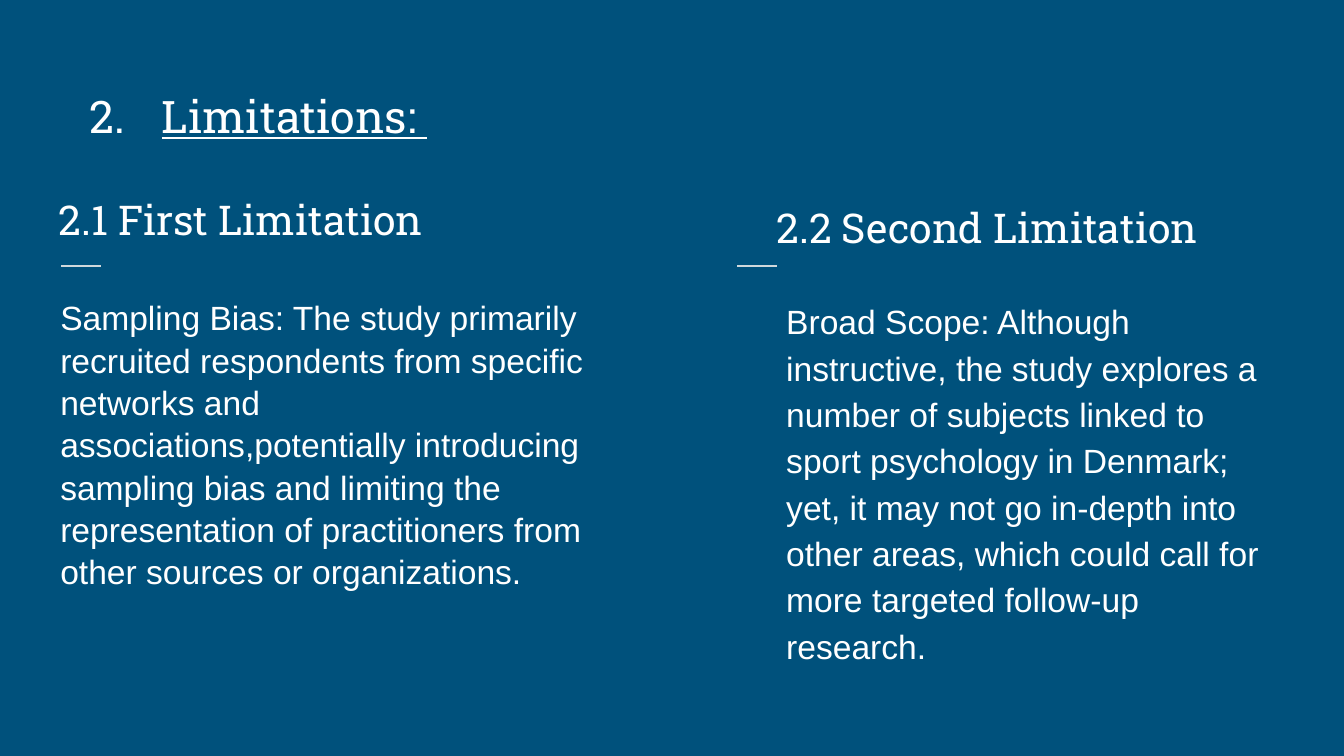
from lxml import etree
from pptx import Presentation
from pptx.dml.color import RGBColor
from pptx.enum.shapes import MSO_CONNECTOR
from pptx.enum.text import MSO_ANCHOR
from pptx.oxml.ns import qn
from pptx.util import Cm, Pt

STRAIGHT = MSO_CONNECTOR.STRAIGHT
TOP = MSO_ANCHOR.TOP
BOTTOM = MSO_ANCHOR.BOTTOM
HEADING_FONT = "Roboto Slab"
BODY_FONT = "Arial"
INSET = 0.25

LIMITATIONS = [
    {
        "heading": "2.1 First Limitation",
        "heading_box": (-0.41, 3.28, 11.35, 1.45),
        "rule_left": 1.16,
        "body": "Sampling Bias: The study primarily recruited respondents from "
                "specific networks and associations,potentially introducing "
                "sampling bias and limiting the representation of practitioners "
                "from other sources or organizations.",
        "body_box": (-1.02, 5.33, 12.52, 7.65),
        "body_spacing": 1.05,
    },
    {
        "heading": "2.2 Second Limitation",
        "heading_box": (13.16, 3.43, 10.69, 1.45),
        "rule_left": 13.93,
        "body": "Broad Scope: Although instructive, the study explores a number "
                "of subjects linked to sport psychology in Denmark; yet, it may "
                "not go in-depth into other areas, which could call for more "
                "targeted follow-up research.",
        "body_box": (12.7, 5.33, 11.63, 7.65),
        "body_spacing": 1.15,
    },
]


def color(value):
    return RGBColor.from_string(value)


def style(run, font, size):
    run.font.name = font
    run.font.size = Pt(size)
    run.font.color.rgb = color("FFFFFF")


def add_text(slide, box, text, font, size, left_inset, spacing=1.15,
             anchor=TOP, bottom_inset=INSET):
    frame = slide.shapes.add_textbox(*map(Cm, box)).text_frame
    frame.word_wrap = True
    frame.vertical_anchor = anchor
    frame.margin_left = Cm(left_inset)
    frame.margin_top = frame.margin_right = Cm(INSET)
    frame.margin_bottom = Cm(bottom_inset)
    paragraph = frame.paragraphs[0]
    paragraph.text = text
    paragraph.line_spacing = spacing
    for run in paragraph.runs:
        style(run, font, size)
    return paragraph


def add_title(slide):
    title = add_text(slide, (-0.41, 0.43, 25.63, 3.33), "2.\t", HEADING_FONT, 24,
                     2.11, anchor=BOTTOM, bottom_inset=1.2)
    hanging = Cm(1.36)
    properties = title._p.get_or_add_pPr()
    properties.set("marL", str(hanging))
    properties.set("indent", str(-hanging))
    subject = title.add_run()
    subject.text = "Limitations: "
    style(subject, HEADING_FONT, 24)
    subject.font.underline = True


def add_rule(slide, left):
    top = Cm(5.03)
    rule = slide.shapes.add_connector(STRAIGHT, Cm(left), top, Cm(left + 0.75), top)
    rule.line.color.rgb = color("CFD8DC")
    rule.line.width = Pt(0.75)
    etree.SubElement(rule._element.spPr, qn("a:effectLst"))


def add_limitation(slide, limitation):
    add_text(slide, limitation["heading_box"], limitation["heading"],
             HEADING_FONT, 22, 1.52)
    add_rule(slide, limitation["rule_left"])
    add_text(slide, limitation["body_box"], limitation["body"],
             BODY_FONT, 18, 2.16, limitation["body_spacing"])


def main():
    deck = Presentation()
    deck.slide_width = Cm(25.4)
    deck.slide_height = Cm(14.29)
    slide = deck.slides.add_slide(deck.slide_layouts[6])
    slide.background.fill.solid()
    slide.background.fill.fore_color.rgb = color("00517C")
    add_title(slide)
    for limitation in LIMITATIONS:
        add_limitation(slide, limitation)
    deck.save("out.pptx")


if __name__ == "__main__":
    main()
